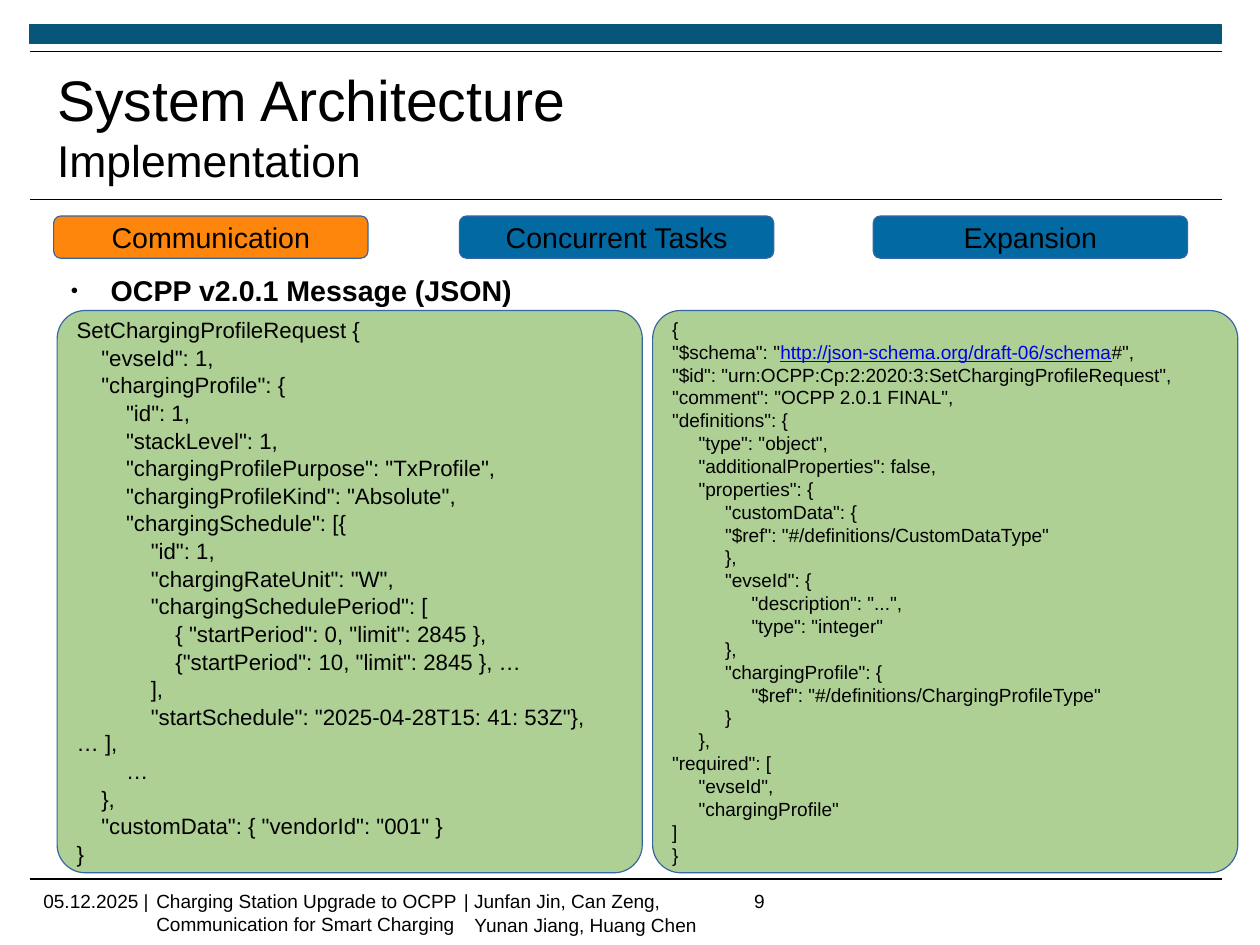
from dataclasses import dataclass

from lxml import etree
from pptx import Presentation
from pptx.dml.color import RGBColor
from pptx.enum.shapes import MSO_CONNECTOR, MSO_SHAPE
from pptx.enum.text import MSO_ANCHOR, MSO_AUTO_SIZE, PP_ALIGN
from pptx.oxml.ns import qn
from pptx.util import Pt

RECTANGLE, ROUNDED = MSO_SHAPE.RECTANGLE, MSO_SHAPE.ROUNDED_RECTANGLE
STRAIGHT = MSO_CONNECTOR.STRAIGHT
TOP, MIDDLE = MSO_ANCHOR.TOP, MSO_ANCHOR.MIDDLE
LEFT, CENTER = PP_ALIGN.LEFT, PP_ALIGN.CENTER
NO_AUTOFIT = MSO_AUTO_SIZE.NONE


@dataclass(frozen=True)
class Theme:
    font: str = "Arial"
    text: str = "000000"
    link: str = "0000EE"
    banner: str = "075578"
    active_tab: str = "FF860D"
    idle_tab: str = "0369A3"
    outline: str = "3465A4"
    code_panel: str = "AFD095"
    title_size: float = 36
    subtitle_size: float = 28
    heading_size: float = 18
    message_size: float = 14
    small_size: float = 12


MESSAGE = """\
SetChargingProfileRequest {
    "evseId": 1,
    "chargingProfile": {
        "id": 1,
        "stackLevel": 1,
        "chargingProfilePurpose": "TxProfile",
        "chargingProfileKind": "Absolute",
        "chargingSchedule": [{
            "id": 1,
            "chargingRateUnit": "W",
            "chargingSchedulePeriod": [
                { "startPeriod": 0, "limit": 2845 },
                {"startPeriod": 10, "limit": 2845 }, …
            ],
            "startSchedule": "2025-04-28T15: 41: 53Z"}, … ],
        …
    },
    "customData": { "vendorId": "001" }
}"""

SCHEMA_URL = "http://json-schema.org/draft-06/schema"
SCHEMA = """\
{
"$schema": "http://json-schema.org/draft-06/schema#",
"$id": "urn:OCPP:Cp:2:2020:3:SetChargingProfileRequest",
"comment": "OCPP 2.0.1 FINAL",
"definitions": {
    "type": "object",
    "additionalProperties": false,
    "properties": {
        "customData": {
        "$ref": "#/definitions/CustomDataType"
        },
        "evseId": {
            "description": "...",
            "type": "integer"
        },
        "chargingProfile": {
            "$ref": "#/definitions/ChargingProfileType"
        }
    },
"required": [
    "evseId",
    "chargingProfile"
]
}"""


class SlideBuilder:
    def __init__(self, slide, theme):
        self.slide = slide
        self.theme = theme

    def style(self, run, size, color=None, bold=False, underline=False):
        run.font.name = self.theme.font
        run.font.size = Pt(size)
        run.font.bold = bold
        run.font.underline = underline
        run.font.color.rgb = RGBColor.from_string(color or self.theme.text)

    def frame(self, shape, margins=(7.2, 3.6), anchor=TOP):
        frame = shape.text_frame
        frame.word_wrap = True
        frame.auto_size = NO_AUTOFIT
        frame.vertical_anchor = anchor
        frame.margin_left = frame.margin_right = Pt(margins[0])
        frame.margin_top = frame.margin_bottom = Pt(margins[1])
        return frame

    def indent(self, paragraph, first_line, margin=0):
        properties = paragraph._p.get_or_add_pPr()
        properties.set("marL", str(Pt(margin)))
        properties.set("indent", str(Pt(first_line)))
        return properties

    def title(self, box, title, subtitle):
        holder = self.slide.shapes.title
        holder.left, holder.top, holder.width, holder.height = map(Pt, box)
        frame = self.frame(holder, (0, 0), MIDDLE)
        frame.text = f"{title}\n{subtitle}"
        sizes = (self.theme.title_size, self.theme.subtitle_size)
        for paragraph, size in zip(frame.paragraphs, sizes):
            paragraph.alignment = LEFT
            self.style(paragraph.runs[0], size)

    def panel(self, box, fill, outline, kind=ROUNDED, line_width=0.0):
        shape = self.slide.shapes.add_shape(kind, *map(Pt, box))
        shape.shadow.inherit = False
        shape.fill.solid()
        shape.fill.fore_color.rgb = RGBColor.from_string(fill)
        shape.line.color.rgb = RGBColor.from_string(outline)
        shape.line.width = Pt(line_width)
        return shape

    def rule(self, left, right, y):
        line = self.slide.shapes.add_connector(STRAIGHT, Pt(left), Pt(y), Pt(right), Pt(y))
        line.line.color.rgb = RGBColor.from_string(self.theme.text)
        line.line.width = Pt(0.71)
        etree.SubElement(line._element.spPr, qn("a:effectLst"))

    def tab(self, box, label, fill):
        frame = self.frame(self.panel(box, fill, self.theme.outline), anchor=MIDDLE)
        frame.text = label
        frame.paragraphs[0].alignment = CENTER
        self.style(frame.paragraphs[0].runs[0], self.theme.heading_size)

    def code(self, box, source, size, step, space_before=0.0, link=None):
        shape = self.panel(box, self.theme.code_panel, self.theme.outline)
        shape.adjustments[0] = 0.05
        frame = self.frame(shape, anchor=MIDDLE)
        lines = source.split("\n")
        frame.text = "\n".join(line.lstrip() for line in lines)
        for paragraph, line in zip(frame.paragraphs, lines):
            depth = (len(line) - len(line.lstrip())) // 4
            paragraph.alignment = LEFT
            paragraph.space_before = Pt(space_before)
            self.indent(paragraph, depth * step)
            if link and link in line:
                before, after = line.split(link)
                paragraph.runs[0].text = before
                for part in (link, after):
                    paragraph.add_run().text = part
            for run in paragraph.runs:
                is_link = run.text == link
                color = self.theme.link if is_link else self.theme.text
                self.style(run, size, color, underline=is_link)

    def bullet(self, box, text):
        frame = self.frame(self.slide.shapes.add_textbox(*map(Pt, box)), (0, 0))
        frame.text = text
        paragraph = frame.paragraphs[0]
        self.style(paragraph.runs[0], self.theme.heading_size, bold=True)
        properties = self.indent(paragraph, -25.2, 33.8)
        etree.SubElement(properties, qn("a:buSzPct"), val="45000")
        etree.SubElement(properties, qn("a:buFont"), typeface=self.theme.font)
        etree.SubElement(properties, qn("a:buChar"), char="●")

    def footer(self, left, width, height, text, next_indent=0.0):
        box = self.slide.shapes.add_textbox(Pt(left), Pt(557), Pt(width), Pt(height))
        frame = self.frame(box)
        frame.text = text
        for number, paragraph in enumerate(frame.paragraphs):
            paragraph.space_before = paragraph.space_after = Pt(0.3)
            self.indent(paragraph, next_indent if number else 0)
            self.style(paragraph.runs[0], self.theme.small_size)


def main():
    theme = Theme()
    deck = Presentation()
    deck.slide_width, deck.slide_height = Pt(793.7), Pt(595.28)
    page = SlideBuilder(deck.slides.add_slide(deck.slide_layouts[5]), theme)

    # Banner, rules and title
    left, right = 18.7, 769.7
    page.panel((left, 15.8, right - left, 11.5), theme.banner, theme.banner, RECTANGLE, 0.75)
    for y in (32.4, 125.6, 553.7):
        page.rule(left, right, y)
    page.title((36, 38.9, 651.6, 80.6), "System Architecture", "Implementation")

    # Footer
    page.footer(20.2, 85, 20.9, "05.12.2025 |")
    page.footer(91.4, 210, 33.8, "Charging Station Upgrade to OCPP Communication for Smart Charging")
    page.footer(285.1, 165, 32.4, "| Junfan Jin, Can Zeng,\nYunan Jiang, Huang Chen", 6.67)
    page.footer(468, 54.7, 20.2, "9")

    # Section tabs
    tabs = (("Communication", 33.8), ("Concurrent Tasks", 289.4), ("Expansion", 550.1))
    for label, tab_left in tabs:
        fill = theme.active_tab if label == "Communication" else theme.idle_tab
        page.tab((tab_left, 136.1, 198, 26.6), label, fill)

    # Message example and its schema
    page.bullet((36, 171.8, 290.2, 34.6), "OCPP v2.0.1 Message (JSON)")
    page.code((36, 195.6, 368.6, 354.2), MESSAGE, theme.message_size, 15.57, 0.6)
    page.code((411.1, 195.6, 368.6, 354.2), SCHEMA, theme.small_size, 16.68, link=SCHEMA_URL)

    deck.save("out.pptx")


if __name__ == "__main__":
    main()
